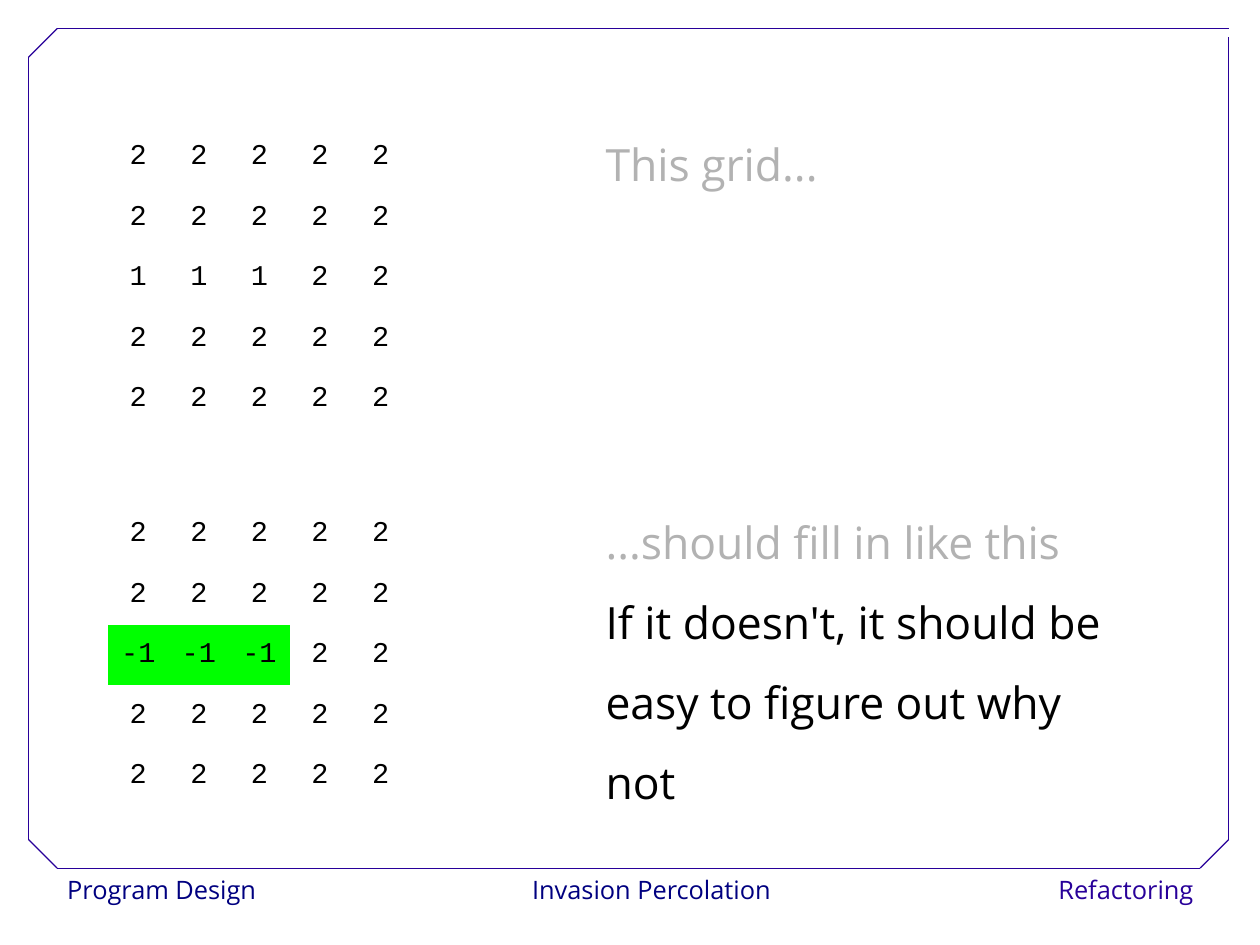
from lxml import etree
from pptx import Presentation
from pptx.dml.color import RGBColor
from pptx.enum.shapes import MSO_CONNECTOR, MSO_SHAPE
from pptx.enum.text import MSO_ANCHOR, MSO_AUTO_SIZE, PP_ALIGN
from pptx.oxml.ns import qn
from pptx.util import Cm, Inches, Pt

NAVY = RGBColor(0x00, 0x00, 0x80)
INDIGO = RGBColor(0x28, 0x00, 0x99)
GREY = RGBColor(0xB2, 0xB2, 0xB2)
BLACK = RGBColor(0x00, 0x00, 0x00)
WHITE = RGBColor(0xFF, 0xFF, 0xFF)
GREEN = RGBColor(0x00, 0xFF, 0x00)

LEFT, CENTER, RIGHT = PP_ALIGN.LEFT, PP_ALIGN.CENTER, PP_ALIGN.RIGHT
TOP, MIDDLE = MSO_ANCHOR.TOP, MSO_ANCHOR.MIDDLE
GROW = MSO_AUTO_SIZE.SHAPE_TO_FIT_TEXT
STRAIGHT = MSO_CONNECTOR.STRAIGHT
RECTANGLE = MSO_SHAPE.RECTANGLE

SANS = "Open Sans"
MONO = "Courier New"
PLAIN_TABLE = "{2D5ABB26-0587-4C30-8999-92F81FD0307C}"

UNIT = 0.25
CELL = 2.12
TABLE_COLUMN = 3.78
TABLE_DROP = 0.74
UPPER_ROW = 3.68
LOWER_ROW = UPPER_ROW + 13.2
FRAME_BOTTOM = 30.38

PLAIN_ROW = ["2"] * 5
FLAT_ROWS = [PLAIN_ROW, PLAIN_ROW]


def grid(count):
    return Inches(count * UNIT)


def format_paragraph(para, size, font, color, align, spacing):
    para.alignment = align
    para.line_spacing = spacing
    for span in para.runs:
        span.font.size = Pt(size)
        span.font.name = font
        span.font.color.rgb = color


def add_footer(page, text, left, width, color, align):
    box = page.shapes.add_shape(
        RECTANGLE, grid(left), grid(FRAME_BOTTOM), grid(width), grid(1.6))
    box.shadow.inherit = False
    box.fill.solid()
    box.fill.fore_color.rgb = WHITE
    box.line.fill.background()
    box.text_frame.word_wrap = False
    box.text_frame.vertical_anchor = TOP
    para = box.text_frame.paragraphs[0]
    para.text = text
    format_paragraph(para, 16, SANS, color, align, 1.02)


def add_frame(page):
    left, top, right, bottom = 1, 1, 43, FRAME_BOTTOM
    edges = [
        (left + 1, bottom, right - 1, bottom),
        (left, bottom - 1, left, top + 1),
        (left + 1, top, right, top),
        (right, bottom - 1, right, top + 0.3),
        (left, top + 1, left + 1, top),
        (right - 1, bottom, right, bottom - 1),
        (left, bottom - 1, left + 1, bottom),
    ]
    group = page.shapes.add_group_shape()
    for edge in edges:
        line = group.shapes.add_connector(STRAIGHT, *map(grid, edge))
        line.line.color.rgb = INDIGO
        line.line.width = Pt(0.75)
        etree.SubElement(line.element.spPr, qn("a:effectLst"))


def add_number_grid(page, top, rows):
    size = len(rows)
    side = grid(size * CELL)
    holder = page.shapes.add_table(
        size, size, grid(TABLE_COLUMN), grid(top), side, side)
    holder.element.find(".//" + qn("a:tableStyleId")).text = PLAIN_TABLE
    table = holder.table
    table.first_row = False
    table.horz_banding = False
    for row_index, values in enumerate(rows):
        for column_index, value in enumerate(values):
            cell = table.cell(row_index, column_index)
            cell.vertical_anchor = MIDDLE
            if value == "-1":
                cell.fill.solid()
                cell.fill.fore_color.rgb = GREEN
            else:
                cell.fill.background()
            para = cell.text_frame.paragraphs[0]
            para.text = value
            format_paragraph(para, 18, MONO, BLACK, CENTER, 1.02)


def add_remarks(page, top, height, remarks):
    box = page.shapes.add_textbox(
        grid(20.8), grid(top), grid(19.44), grid(height))
    frame = box.text_frame
    frame.word_wrap = True
    frame.auto_size = GROW
    frame.text = "\n".join(text for text, color in remarks)
    for para, (text, color) in zip(frame.paragraphs, remarks):
        format_paragraph(para, 28, SANS, color, LEFT, 1.5)


def main():
    deck = Presentation()
    deck.slide_width = Cm(28)
    deck.slide_height = Cm(21)
    page = deck.slides.add_slide(deck.slide_layouts[6])

    add_footer(page, "Program Design", 1.96, 7.2, NAVY, LEFT)
    add_footer(page, "Invasion Percolation", 18.32, 8.96, NAVY, CENTER)
    add_footer(page, "Refactoring", 36.56, 5.6, INDIGO, RIGHT)
    add_frame(page)

    start_row = ["1"] * 3 + ["2"] * 2
    filled_row = ["-1"] * 3 + ["2"] * 2
    add_number_grid(page, UPPER_ROW + TABLE_DROP,
                    FLAT_ROWS + [start_row] + FLAT_ROWS)
    add_remarks(page, UPPER_ROW, 3.2, [("This grid...", GREY)])
    add_number_grid(page, LOWER_ROW + TABLE_DROP,
                    FLAT_ROWS + [filled_row] + FLAT_ROWS)
    add_remarks(page, LOWER_ROW, 11.6, [
        ("...should fill in like this", GREY),
        ("If it doesn't, it should be", BLACK),
        ("easy to figure out why not", BLACK),
    ])

    deck.save("out.pptx")


if __name__ == "__main__":
    main()
